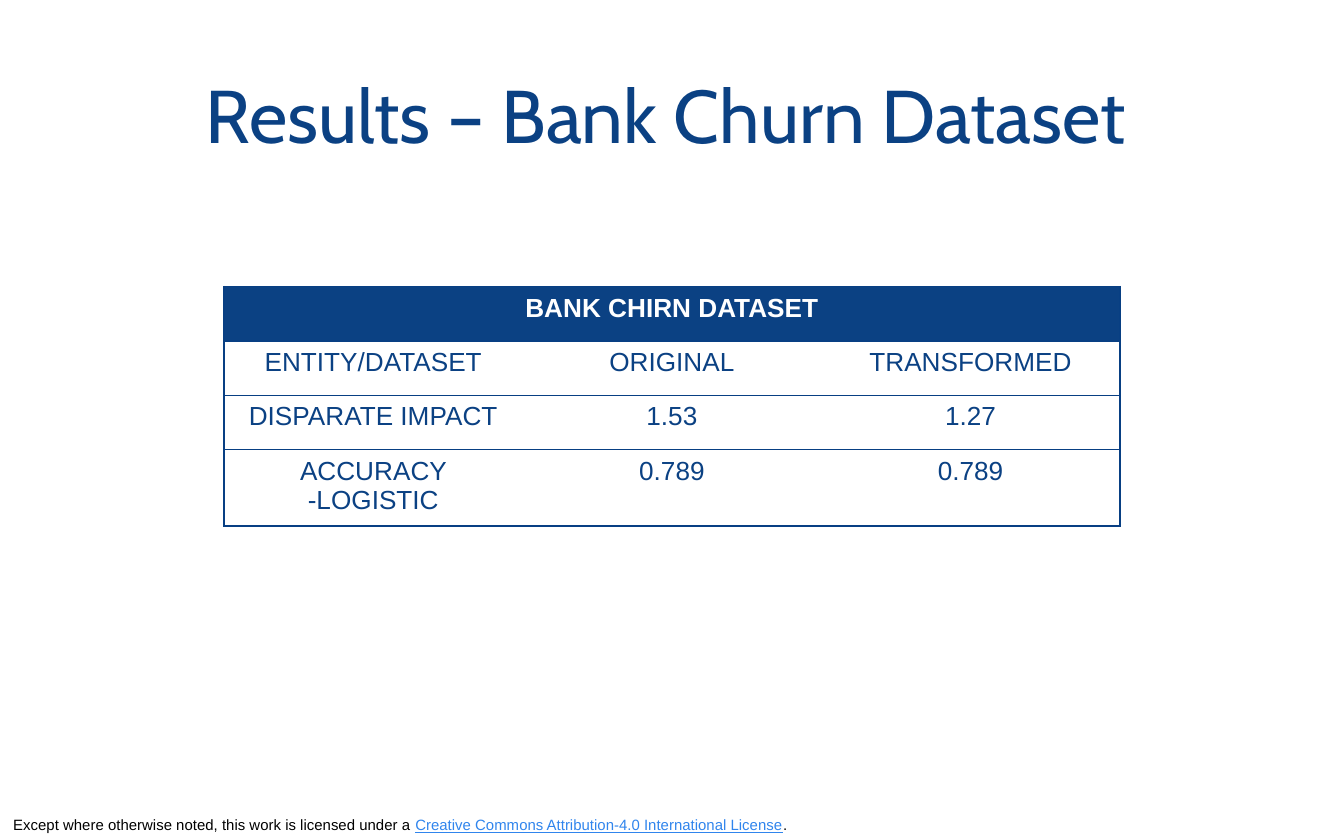
from lxml import etree
from pptx import Presentation
from pptx.dml.color import RGBColor
from pptx.enum.text import MSO_ANCHOR, PP_ALIGN
from pptx.oxml.ns import qn
from pptx.util import Pt

CENTER = PP_ALIGN.CENTER
BOTTOM = MSO_ANCHOR.BOTTOM
COLORS = {"navy": "0B4183", "border": "083F83", "white": "FFFFFF",
          "black": "000000", "link": "3085ED"}
COLUMN_WIDTH = 160
ROW_HEIGHT = 29.15
ROWS = [
    ["BANK CHIRN DATASET", "", ""],
    ["ENTITY/DATASET", "ORIGINAL", "TRANSFORMED"],
    ["DISPARATE IMPACT", "1.53", "1.27"],
    ["ACCURACY -LOGISTIC", "0.789", "0.789"],
]
LICENSE = [
    ("Except where otherwise noted, this work is licensed under a\u00a0", "black", False),
    ("Creative Commons Attribution-4.0 International License", "link", True),
    (".", "black", False),
]


def style_font(font, name, size, color):
    """Set typeface, size and colour of a font."""
    font.name = name
    font.size = Pt(size)
    font.color.rgb = RGBColor.from_string(COLORS[color])


def add_text(page, bounds, spans, name, size, inset, align=None):
    """Add a bottom-anchored text box holding one paragraph of spans."""
    box = page.shapes.add_textbox(*map(Pt, bounds))
    frame = box.text_frame
    frame.word_wrap = True
    frame.vertical_anchor = BOTTOM
    frame.margin_top = frame.margin_bottom = Pt(inset)
    para = frame.paragraphs[0]
    para.alignment = align
    for text, color, underline in spans:
        span = para.add_run()
        span.text = text
        style_font(span.font, name, size, color)
        if underline:
            span.font.underline = True


def set_border(cell, side, visible):
    """Draw or hide one side of a cell."""
    line = etree.SubElement(cell._tc.get_or_add_tcPr(), qn(f"a:ln{side}"), w=str(Pt(0.75)))
    if visible:
        fill = etree.SubElement(line, qn("a:solidFill"))
        etree.SubElement(fill, qn("a:srgbClr"), val=COLORS["border"])
    else:
        etree.SubElement(line, qn("a:noFill"))


def style_cell(cell, text, is_header, is_first, is_last):
    """Fill in one table cell with its text, borders and background."""
    sides = {"L": is_first, "R": is_last, "T": True, "B": True}
    for side, visible in sides.items():
        set_border(cell, side, visible)
    if is_header:
        cell.fill.solid()
        cell.fill.fore_color.rgb = RGBColor.from_string(COLORS["navy"])
    else:
        cell.fill.background()
    cell.text_frame.text = text
    para = cell.text_frame.paragraphs[0]
    para.alignment = CENTER
    for span in para.runs:
        style_font(span.font, "Arial", 14, "white" if is_header else "navy")
        span.font.bold = is_header


def add_results_table(page, left, top):
    """Add the results table with a merged header row."""
    columns = len(ROWS[0])
    table = page.shapes.add_table(
        len(ROWS), columns, Pt(left), Pt(top),
        Pt(COLUMN_WIDTH * columns), Pt(ROW_HEIGHT * len(ROWS))).table
    table.horz_banding = False
    for column in table.columns:
        column.width = Pt(COLUMN_WIDTH)
    for row_index, texts in enumerate(ROWS):
        table.rows[row_index].height = Pt(ROW_HEIGHT)
        for index, text in enumerate(texts):
            style_cell(table.cell(row_index, index), text, row_index == 0,
                       index == 0 or row_index == 0,
                       index == columns - 1 or row_index == 0)
    table.cell(0, 0).merge(table.cell(0, columns - 1))


def main():
    """Build the slide and save it."""
    deck = Presentation()
    deck.slide_width, deck.slide_height = Pt(720), Pt(450)
    page = deck.slides.add_slide(deck.slide_layouts[6])
    add_text(page, (0, 433.4, 540, 16.6), LICENSE, "Arial", 8, 3.6)
    add_text(page, (36, 31, 650, 61), [("Results – Bank Churn Dataset ", "navy", False)],
             "Cabin", 40, 7.2, CENTER)
    add_results_table(page, 120, 153.5)
    deck.save("out.pptx")


if __name__ == "__main__":
    main()
